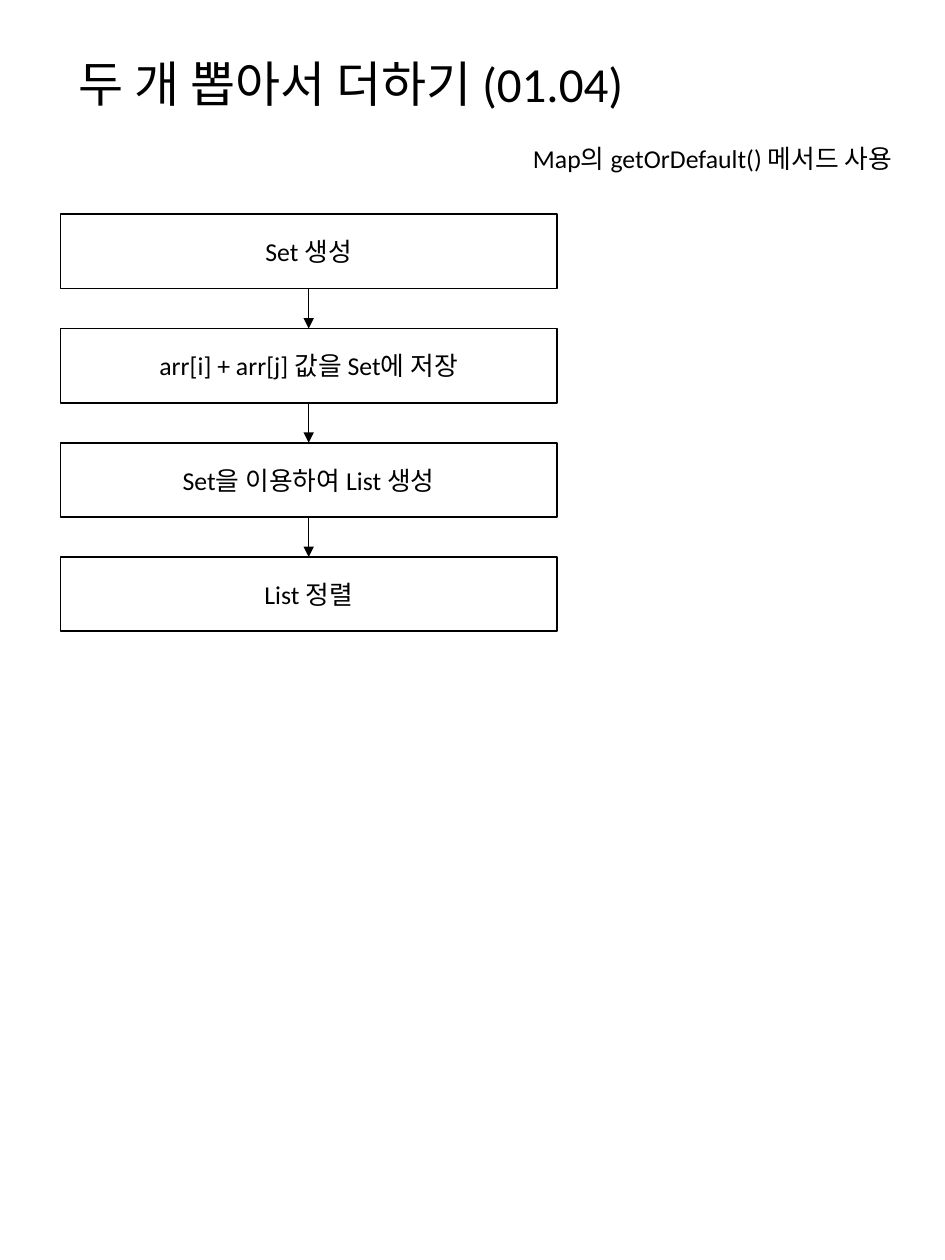
from itertools import pairwise

from lxml import etree
from pptx import Presentation
from pptx import util as u
from pptx.dml.color import RGBColor
from pptx.enum import shapes, text
from pptx.oxml import ns


def colour(value):
    return RGBColor.from_string(value)


class FlowSlide:
    """Draws a titled flow chart on a grid of 75 columns by 100 rows."""

    font = "Calibri"
    ink = "000000"
    title_size = 28
    body_size = 14.7

    def __init__(self, presentation):
        self.column = presentation.slide_width / 75
        self.row = presentation.slide_height / 100
        self.slide = presentation.slides.add_slide(presentation.slide_layouts[5])

    def area(self, left, top, width, height):
        return (round(left * self.column), round(top * self.row),
                round(width * self.column), round(height * self.row))

    def add_words(self, shape, wording, size, align, anchor):
        frame = shape.text_frame
        frame.word_wrap = True
        frame.auto_size = text.MSO_AUTO_SIZE.NONE
        frame.vertical_anchor = anchor
        paragraph = frame.paragraphs[0]
        paragraph.alignment = align
        run = paragraph.add_run()
        run.text = wording
        run.font.name = self.font
        run.font.size = u.Pt(size)
        run.font.color.rgb = colour(self.ink)
        return frame

    def title(self, wording, *place):
        shape = self.slide.shapes.title
        shape.left, shape.top, shape.width, shape.height = self.area(*place)
        frame = self.add_words(shape, wording, self.title_size,
                               text.PP_ALIGN.LEFT, text.MSO_ANCHOR.MIDDLE)
        frame.paragraphs[0].line_spacing = 0.9

    def note(self, wording, *place):
        shape = self.slide.shapes.add_textbox(*self.area(*place))
        frame = self.add_words(shape, wording, self.body_size,
                               text.PP_ALIGN.LEFT, text.MSO_ANCHOR.TOP)
        frame.margin_left = frame.margin_right = u.Inches(0.05)
        frame.margin_top = frame.margin_bottom = u.Inches(0.05)

    def step(self, wording, *place):
        shape = self.slide.shapes.add_shape(
            shapes.MSO_SHAPE.RECTANGLE, *self.area(*place))
        shape.shadow.inherit = False
        shape.fill.background()
        shape.line.color.rgb = colour(self.ink)
        shape.line.width = u.Pt(1)
        self.add_words(shape, wording, self.body_size,
                       text.PP_ALIGN.CENTER, text.MSO_ANCHOR.MIDDLE)
        return shape

    def arrow(self, upper, lower):
        connector = self.slide.shapes.add_connector(
            shapes.MSO_CONNECTOR.STRAIGHT, 0, 0, 0, 0)
        connector.begin_connect(upper, 2)
        connector.end_connect(lower, 0)
        connector.line.color.rgb = colour(self.ink)
        connector.line.width = u.Pt(0.5)
        properties = connector.element.spPr
        line = properties.find(ns.qn("a:ln"))
        etree.SubElement(line, ns.qn("a:tailEnd"), type="triangle")
        etree.SubElement(properties, ns.qn("a:effectLst"))


presentation = Presentation()
presentation.slide_width = u.Inches(7.5)
presentation.slide_height = u.Inches(10)

flow = FlowSlide(presentation)
flow.title("두 개 뽑아서 더하기 (01.04)", 5.2, 3.8, 64.7, 6.1)
flow.note("Map의 getOrDefault() 메서드 사용", 41.8, 10.8, 30.7, 3.5)

wordings = ["Set 생성", "arr[i] + arr[j] 값을 Set에 저장",
            "Set을 이용하여 List 생성", "List 정렬"]
steps = [flow.step(wording, 4.8, 17 + 9.07 * index, 39.4, 5.9)
         for index, wording in enumerate(wordings)]
for upper, lower in pairwise(steps):
    flow.arrow(upper, lower)

presentation.save("out.pptx")
